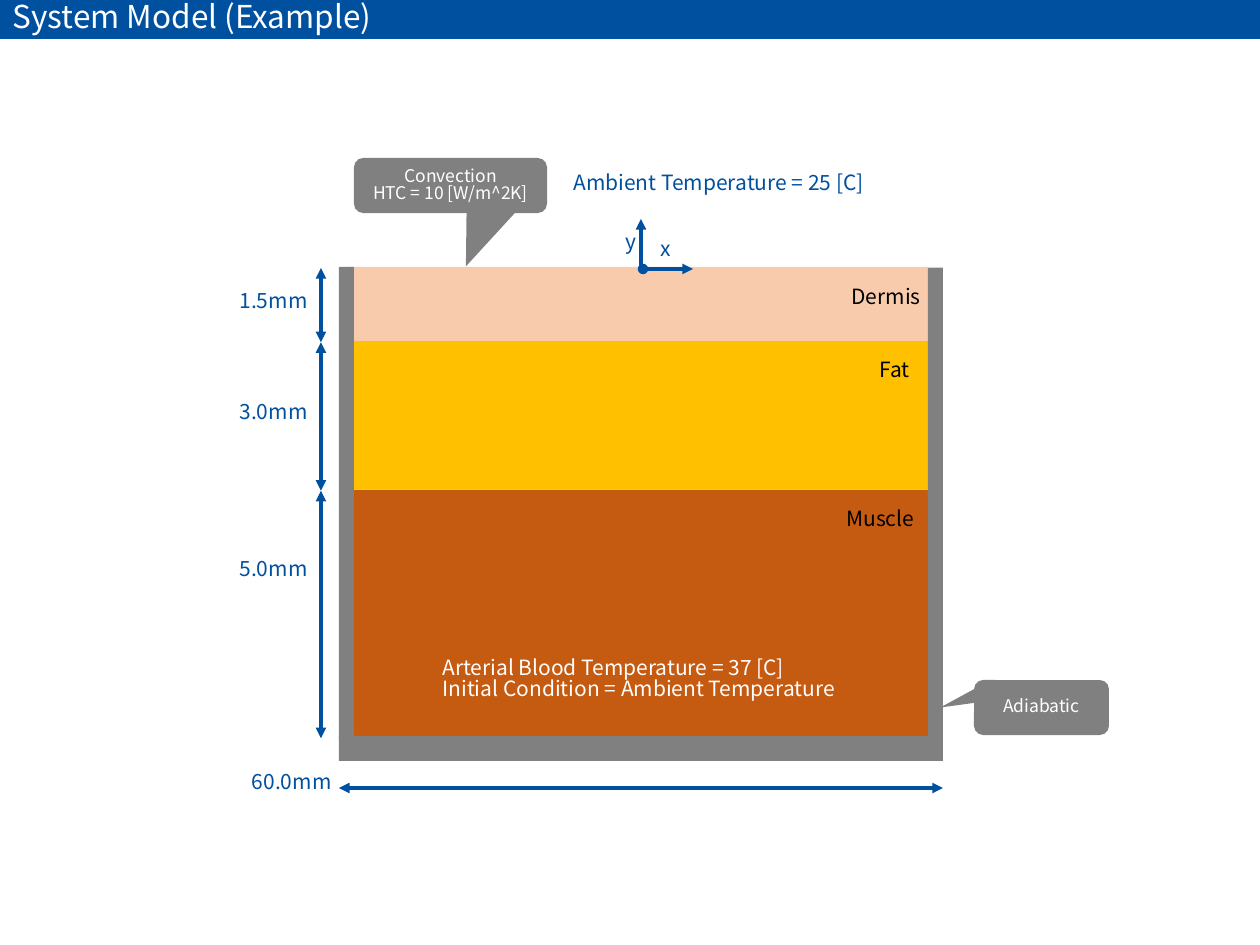
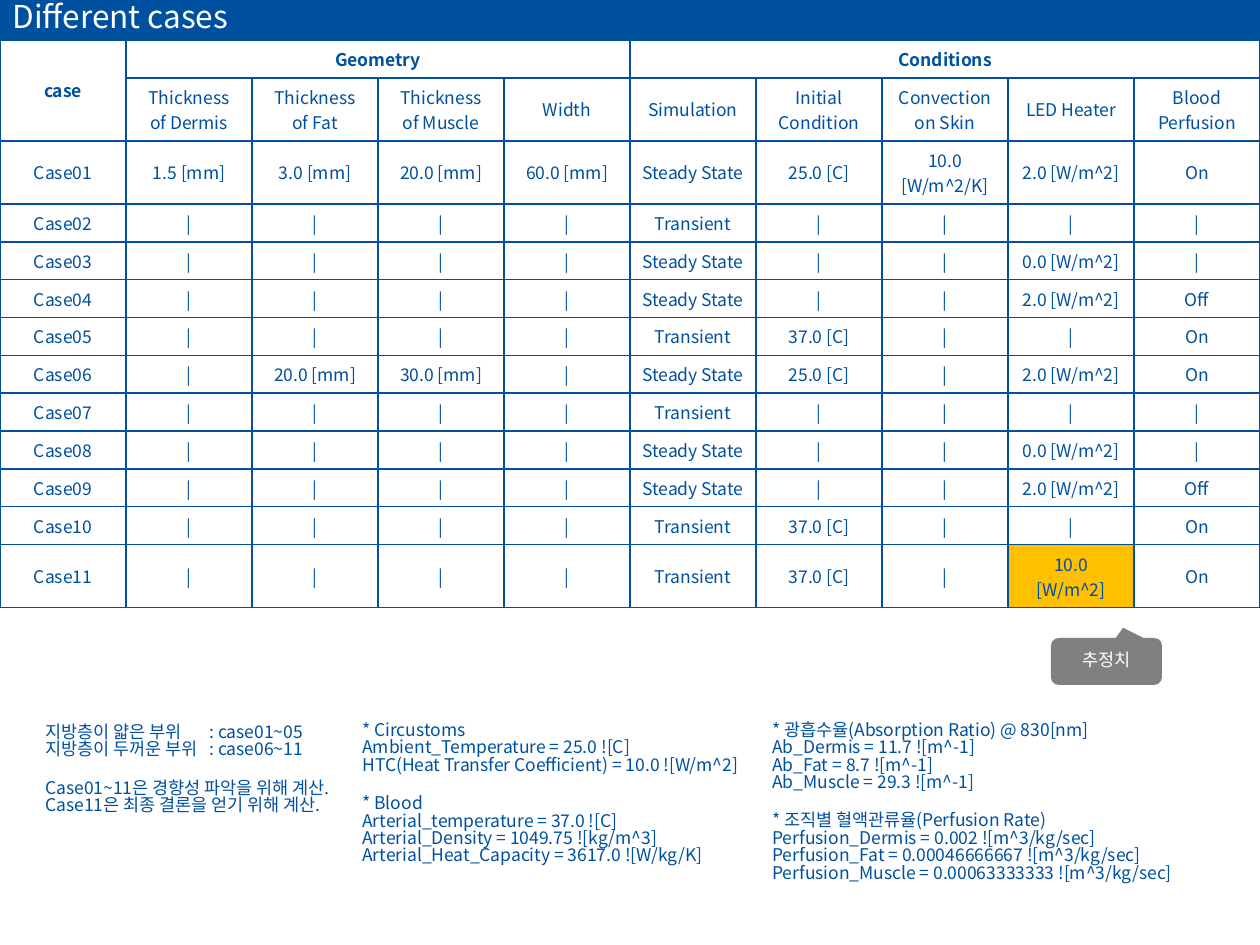
"""Build two slides: a layered skin heat model and a table of its simulation cases."""
from dataclasses import dataclass
from itertools import accumulate
from lxml.etree import SubElement
from pptx import Presentation
from pptx.dml.color import RGBColor
from pptx.enum.shapes import MSO_CONNECTOR, MSO_SHAPE
from pptx.enum.text import MSO_ANCHOR, MSO_AUTO_SIZE, PP_ALIGN
from pptx.oxml.ns import qn
from pptx.util import Emu, Pt


@dataclass(frozen=True)
class Theme:
    font: str = "Noto Sans CJK KR"
    blue: str = "0050A0"
    gray: str = "808080"
    white: str = "FFFFFF"
    black: str = "000000"
    dermis: str = "F8CBAD"
    amber: str = "FFC000"
    muscle: str = "C55A11"
    title: int = 18
    label: int = 12
    small: int = 10
    leading: float = 0.83
    line: int = 2


T = Theme()
PX = 914400 / 126
SLIDE_W, SLIDE_H, BAND_H = 1260, 945, 39
LEFT, CENTER, RIGHT = PP_ALIGN.LEFT, PP_ALIGN.CENTER, PP_ALIGN.RIGHT

MODEL_TITLE = "System Model (Example)"
PX_PER_MM = 49.5
SKIN_TOP, SKIN_LEFT, SKIN_W = 267, 348, 595
LAYERS = [
    ("Dermis", 1.5, T.dermis, (839, 282, 96, 38), 286),
    ("Fat", 3.0, T.amber, (867, 355, 55, 38), 397),
    ("Muscle", 5.0, T.muscle, (834, 504, 94, 38), 554),
]
WALLS = [(928, 268, 15, 471), (339, 267, 15, 471), (339, 736, 604, 25)]
DEPTH_X, DEPTH_LABEL_X, DEPTH_LABEL_W = 321, 226, 94
WIDTH_LINE = ((339, 788), (943, 788))
MODEL_LABELS = [
    (["Ambient Temperature = 25 [C]"], (561, 168, 319, 38), T.blue, LEFT),
    (["60.0mm"], (238, 767, 106, 38), T.blue, RIGHT),
    (["Arterial Blood Temperature = 37 [C]", "Initial Condition = Ambient Temperature"],
     (430, 653, 422, 63), T.white, LEFT),
    (["y"], (612, 227, 37, 38), T.blue, RIGHT),
    (["x"], (646, 234, 37, 38), T.blue, RIGHT),
]
AXES = [((641, 269), (641, 219), None), ((643, 269), (693, 269), "oval")]
MODEL_CALLOUTS = [
    (["Adiabatic"], (974, 680, 135, 55), (-0.75, 0)),
    (["Convection", "HTC = 10 [W/m^2K]"], (354, 158, 193, 55), (0.08, 1.47)),
]

CASES_TITLE = "Different cases"
COLUMNS = ["Thickness of Dermis", "Thickness of Fat", "Thickness of Muscle", "Width", "Simulation",
           "Initial Condition", "Convection on Skin", "LED Heater", "Blood Perfusion"]
GROUPS = [("case", 0, 0, 1, 0), ("Geometry", 0, 1, 0, 4), ("Conditions", 0, 5, 0, 9)]
DERMIS, FAT, MUSCLE, WIDTH, SIM, INITIAL, CONVECTION, LED, BLOOD = range(1, 10)
SAME = "|"
STEADY, TRANSIENT = "Steady State", "Transient"
CASES = [
    {DERMIS: "1.5 [mm]", FAT: "3.0 [mm]", MUSCLE: "20.0 [mm]", WIDTH: "60.0 [mm]", SIM: STEADY,
     INITIAL: "25.0 [C]", CONVECTION: "10.0 [W/m^2/K]", LED: "2.0 [W/m^2]", BLOOD: "On"},
    {SIM: TRANSIENT},
    {SIM: STEADY, LED: "0.0 [W/m^2]"},
    {SIM: STEADY, LED: "2.0 [W/m^2]", BLOOD: "Off"},
    {SIM: TRANSIENT, INITIAL: "37.0 [C]", BLOOD: "On"},
    {FAT: "20.0 [mm]", MUSCLE: "30.0 [mm]", SIM: STEADY, INITIAL: "25.0 [C]",
     LED: "2.0 [W/m^2]", BLOOD: "On"},
    {SIM: TRANSIENT},
    {SIM: STEADY, LED: "0.0 [W/m^2]"},
    {SIM: STEADY, LED: "2.0 [W/m^2]", BLOOD: "Off"},
    {SIM: TRANSIENT, INITIAL: "37.0 [C]", BLOOD: "On"},
    {SIM: TRANSIENT, INITIAL: "37.0 [C]", LED: "10.0 [W/m^2]", BLOOD: "On"},
]
ROW_H, TALL_ROW_H, TALL_ROWS = 37, 63, (1, 2, 12)
ESTIMATE_CELL = (12, LED)
ESTIMATE = (["추정치"], (1051, 638, 111, 47), (0.15, -0.72))
NOTE_TAB = 164
NOTES = [
    ((33, 718, 368, 118), [
        ["지방층이 얇은 부위\t: case01~05", "지방층이 두꺼운 부위\t: case06~11"],
        ["Case01~11은 경향성 파악을 위해 계산.", "Case11은 최종 결론을 얻기 위해 계산."]]),
    ((350, 716, 423, 183), [
        ["* Circustoms", "Ambient_Temperature = 25.0 ![C]",
         "HTC(Heat Transfer Coefficient) = 10.0 ![W/m^2]"],
        ["* Blood", "Arterial_temperature = 37.0 ![C]", "Arterial_Density = 1049.75 ![kg/m^3]",
         "Arterial_Heat_Capacity = 3617.0 ![W/kg/K]"]]),
    ((760, 716, 440, 204), [
        ["* 광흡수율(Absorption Ratio) @ 830[nm]", "Ab_Dermis = 11.7 ![m^-1]",
         "Ab_Fat = 8.7 ![m^-1]", "Ab_Muscle = 29.3 ![m^-1]"],
        ["* 조직별 혈액관류율(Perfusion Rate)", "Perfusion_Dermis = 0.002 ![m^3/kg/sec]",
         "Perfusion_Fat = 0.00046666667 ![m^3/kg/sec]",
         "Perfusion_Muscle = 0.00063333333 ![m^3/kg/sec]"]]),
]


def px(*values):
    return [Emu(round(v * PX)) for v in values]


def rgb(color):
    return RGBColor.from_string(color)


def write(tf, lines, size=T.label, color=T.blue, align=LEFT, bold=False,
          leading=T.leading, gaps=(), tab=None):
    for i, text in enumerate(lines):
        p = tf.paragraphs[0] if i == 0 else tf.add_paragraph()
        p.alignment = align
        if leading:
            p.line_spacing = leading
        if i in gaps:
            p.space_before = Pt(size * 1.2)
        if tab and "\t" in text:
            tabs = SubElement(p._p.get_or_add_pPr(), qn("a:tabLst"))
            SubElement(tabs, qn("a:tab"), pos=str(px(tab)[0]), algn="l")
        r = p.add_run()
        r.text = text
        r.font.name, r.font.size, r.font.bold = T.font, Pt(size), bold
        r.font.color.rgb = rgb(color)
        SubElement(r._r.get_or_add_rPr(), qn("a:ea"), typeface=T.font)


def add_box(slide, box, color, kind=MSO_SHAPE.RECTANGLE):
    sp = slide.shapes.add_shape(kind, *px(*box))
    sp.shadow.inherit = False
    sp.fill.solid()
    sp.fill.fore_color.rgb = rgb(color)
    sp.line.fill.background()
    return sp


def add_label(slide, lines, box, wrap=False, **fmt):
    tf = slide.shapes.add_textbox(*px(*box)).text_frame
    tf.word_wrap = wrap
    tf.auto_size = MSO_AUTO_SIZE.SHAPE_TO_FIT_TEXT
    write(tf, lines, **fmt)


def add_callout(slide, lines, box, tip):
    sp = add_box(slide, box, T.gray, MSO_SHAPE.ROUNDED_RECTANGULAR_CALLOUT)
    sp.adjustments[0], sp.adjustments[1] = tip
    sp.text_frame.vertical_anchor = MSO_ANCHOR.MIDDLE
    write(sp.text_frame, lines, size=T.small, color=T.white, align=CENTER)


def add_arrow(slide, start, end, head="triangle"):
    cx = slide.shapes.add_connector(MSO_CONNECTOR.STRAIGHT, *px(*start, *end))
    cx.line.color.rgb = rgb(T.blue)
    cx.line.width = Pt(T.line)
    ln = cx.line._get_or_add_ln()
    if head:
        SubElement(ln, qn("a:headEnd"), type=head)
    SubElement(ln, qn("a:tailEnd"), type="triangle")
    SubElement(cx._element.spPr, qn("a:effectLst"))


def add_slide(prs, title):
    slide = prs.slides.add_slide(prs.slide_layouts[5])
    sp = slide.shapes.title
    sp.left, sp.top, sp.width, sp.height = px(0, 0, SLIDE_W, BAND_H)
    sp.fill.solid()
    sp.fill.fore_color.rgb = rgb(T.blue)
    tf = sp.text_frame
    tf.auto_size = MSO_AUTO_SIZE.NONE
    tf.vertical_anchor = MSO_ANCHOR.MIDDLE
    write(tf, [title], size=T.title, color=T.white)
    return slide


def set_cell(cell, text, bold, fill):
    cell.vertical_anchor = MSO_ANCHOR.MIDDLE
    if text:
        write(cell.text_frame, [text], size=T.small, align=CENTER, bold=bold, leading=None)
    tc_pr = cell._tc.get_or_add_tcPr()
    for side in ("lnL", "lnR", "lnT", "lnB"):
        ln = SubElement(tc_pr, qn(f"a:{side}"), w=str(Pt(1)))
        SubElement(SubElement(ln, qn("a:solidFill")), qn("a:srgbClr"), val=T.blue)
    if fill:
        cell.fill.solid()
        cell.fill.fore_color.rgb = rgb(fill)
    else:
        cell.fill.background()


def build_model(prs):
    slide = add_slide(prs, MODEL_TITLE)
    heights = [mm * PX_PER_MM for _, mm, *_ in LAYERS]
    tops = list(accumulate(heights, initial=SKIN_TOP))
    for (_, _, color, _, _), top, h in zip(LAYERS, tops, heights):
        add_box(slide, (SKIN_LEFT, top, SKIN_W, h), color)
    for wall in WALLS:
        add_box(slide, wall, T.gray)
    for (name, mm, _, name_box, depth_y), top, h in zip(LAYERS, tops, heights):
        add_arrow(slide, (DEPTH_X, top + 1), (DEPTH_X, top + h + 1))
        add_label(slide, [f"{mm}mm"], (DEPTH_LABEL_X, depth_y, DEPTH_LABEL_W, 38), align=RIGHT)
        add_label(slide, [name], name_box, color=T.black)
    add_arrow(slide, *WIDTH_LINE)
    for callout in MODEL_CALLOUTS:
        add_callout(slide, *callout)
    for axis in AXES:
        add_arrow(slide, *axis)
    for lines, box, color, align in MODEL_LABELS:
        add_label(slide, lines, box, color=color, align=align)


def build_cases(prs):
    slide = add_slide(prs, CASES_TITLE)
    group_names = {(row, col): name for name, row, col, _, _ in GROUPS}
    grid = [[group_names.get((0, c), "") for c in range(10)], ["", *COLUMNS]]
    for n, case in enumerate(CASES, 1):
        grid.append([f"Case{n:02}"] + [case.get(c, SAME) for c in range(1, 10)])
    heights = [TALL_ROW_H if i in TALL_ROWS else ROW_H for i in range(len(grid))]
    frame = slide.shapes.add_table(len(grid), 10, *px(0, BAND_H + 1, SLIDE_W, sum(heights)))
    table = frame.table
    table.first_row = table.horz_banding = False
    for row, h in zip(table.rows, heights):
        row.height = px(h)[0]
    for _, top, left, bottom, right in GROUPS:
        table.cell(top, left).merge(table.cell(bottom, right))
    for i, texts in enumerate(grid):
        for j, text in enumerate(texts):
            fill = T.amber if (i, j) == ESTIMATE_CELL else None
            set_cell(table.cell(i, j), text, i == 0, fill)
    add_callout(slide, *ESTIMATE)
    for box, blocks in NOTES:
        lines = [line for block in blocks for line in block]
        add_label(slide, lines, box, wrap=True, size=T.small, gaps=(len(blocks[0]),), tab=NOTE_TAB)


def main():
    prs = Presentation()
    prs.slide_width, prs.slide_height = px(SLIDE_W, SLIDE_H)
    build_model(prs)
    build_cases(prs)
    prs.save("out.pptx")


if __name__ == "__main__":
    main()
